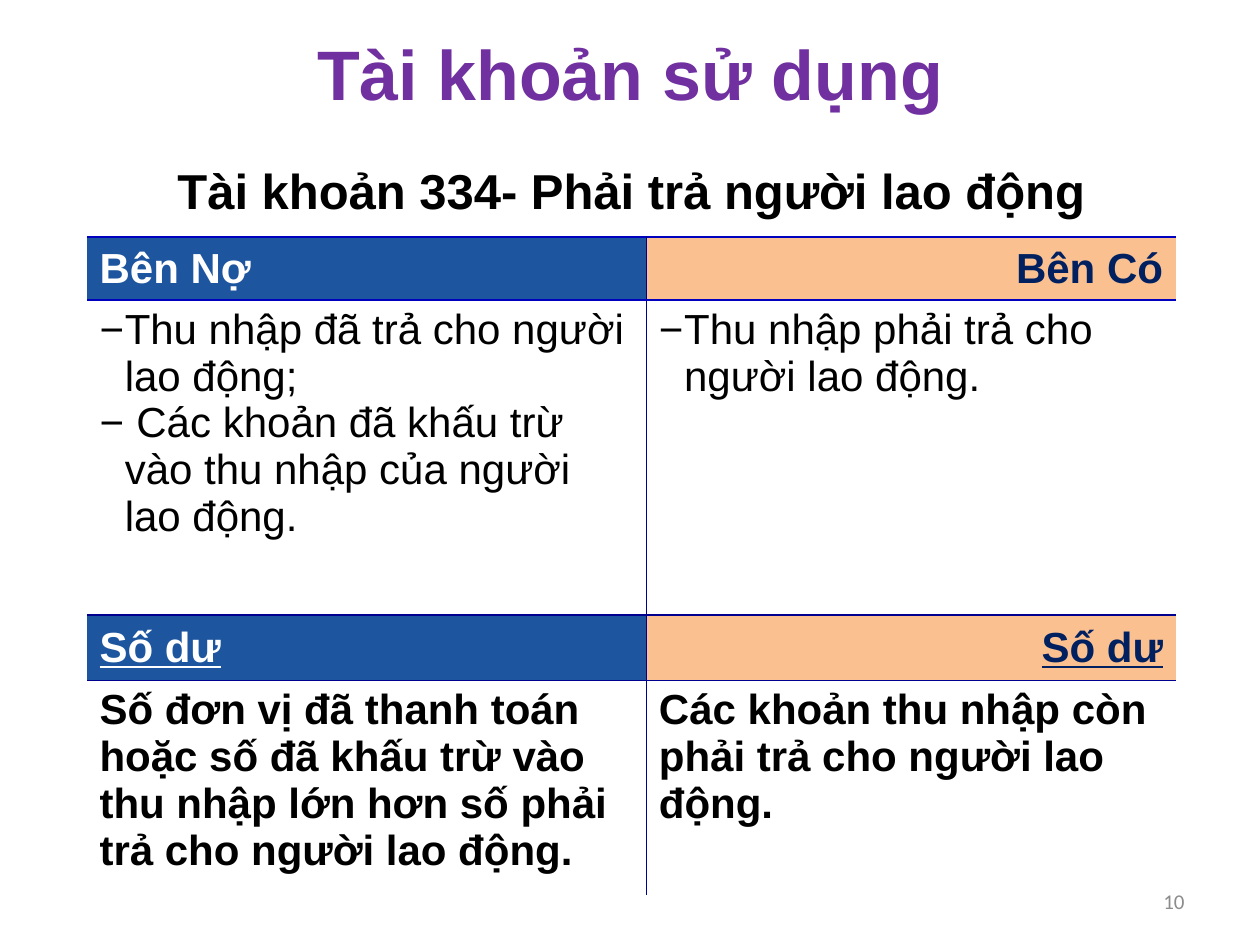
"""Build the slide on account 334, payables to employees."""
from dataclasses import dataclass

from lxml import etree
from pptx import Presentation, util as u
from pptx.dml.color import RGBColor
from pptx.enum import text
from pptx.oxml import ns

PURPLE = RGBColor(0x70, 0x30, 0xA0)
GREY = RGBColor(0x8C, 0x8C, 0x8C)
BLACK = RGBColor(0x00, 0x00, 0x00)
WHITE = RGBColor(0xFF, 0xFF, 0xFF)
NAVY = RGBColor(0x00, 0x20, 0x60)
BLUE = RGBColor(0x1D, 0x55, 0x9F)
ORANGE = RGBColor(0xFA, 0xC0, 0x90)
TOP_RULE = RGBColor(0x00, 0x00, 0xBF)
INNER_RULE = RGBColor(0x00, 0x00, 0x8F)

LEFT, CENTER, RIGHT = text.PP_ALIGN.LEFT, text.PP_ALIGN.CENTER, text.PP_ALIGN.RIGHT
TOP, MIDDLE, BOTTOM = text.MSO_ANCHOR.TOP, text.MSO_ANCHOR.MIDDLE, text.MSO_ANCHOR.BOTTOM

PLAIN_TABLE_STYLE = "{2D5ABB26-0587-4C30-8999-92F81FD0307C}"
COLUMN_WIDTHS = (4.44, 4.2)
ROW_HEIGHTS = (0.71, 0.5, 2.5, 0.52, 1.69)


@dataclass(frozen=True)
class Style:
    size: float
    color: RGBColor = BLACK
    bold: bool = True
    underline: bool = False
    align: text.PP_ALIGN = LEFT
    anchor: text.MSO_ANCHOR = TOP
    fill: RGBColor | None = None
    bullet: str = ""
    font: str = "Arial"


@dataclass(frozen=True)
class TextBox:
    left: float
    top: float
    width: float
    height: float
    words: str
    style: Style
    line_spacing: float = 1.0


@dataclass(frozen=True)
class Entry:
    lines: tuple[str, ...]
    style: Style


DEBIT_HEAD = Style(24, WHITE, anchor=MIDDLE, fill=BLUE)
CREDIT_HEAD = Style(24, NAVY, align=RIGHT, anchor=MIDDLE, fill=ORANGE)
DEBIT_BALANCE = Style(24, WHITE, underline=True, anchor=MIDDLE, fill=BLUE)
CREDIT_BALANCE = Style(24, NAVY, underline=True, align=RIGHT, anchor=MIDDLE, fill=ORANGE)
ITEMS = Style(24, bold=False, bullet="−")
BALANCE_NOTE = Style(24)

BOXES = (
    TextBox(0.69, 0.29, 8.62, 0.68, "Tài khoản sử dụng",
            Style(40, PURPLE, align=CENTER, anchor=BOTTOM), 0.9),
    TextBox(7.17, 6.95, 2.33, 0.4, "10",
            Style(12, GREY, bold=False, align=RIGHT, anchor=MIDDLE, font="Calibri")),
)

ACCOUNT_TITLE = Entry(("Tài khoản 334- Phải trả người lao động",),
                      Style(28, align=CENTER, anchor=MIDDLE))
ACCOUNT_ROWS = (
    (Entry(("Bên Nợ",), DEBIT_HEAD), Entry(("Bên Có",), CREDIT_HEAD)),
    (Entry(("Thu nhập đã trả cho người lao động;",
            " Các khoản đã khấu trừ vào thu nhập của người lao động."), ITEMS),
     Entry(("Thu nhập phải trả cho người lao động.",), ITEMS)),
    (Entry(("Số dư",), DEBIT_BALANCE), Entry(("Số dư",), CREDIT_BALANCE)),
    (Entry(("Số đơn vị đã thanh toán hoặc số đã khấu trừ vào thu nhập "
            "lớn hơn số phải trả cho người lao động.",), BALANCE_NOTE),
     Entry(("Các khoản thu nhập còn phải trả cho người lao động.",), BALANCE_NOTE)),
)


def add_bullet(para, mark: str) -> None:
    properties = para._p.get_or_add_pPr()
    indent = u.Inches(0.2)
    properties.set("marL", str(indent))
    properties.set("indent", str(-indent))
    etree.SubElement(properties, ns.qn("a:buFont"), typeface="Arial")
    etree.SubElement(properties, ns.qn("a:buChar"), char=mark)


def write_lines(frame, lines: tuple[str, ...], style: Style, line_spacing: float = 1.0) -> None:
    for index, line in enumerate(lines):
        para = frame.add_paragraph() if index else frame.paragraphs[0]
        para.alignment = style.align
        para.line_spacing = line_spacing
        if style.bullet:
            add_bullet(para, style.bullet)
        span = para.add_run()
        span.text = line
        span.font.name = style.font
        span.font.size = u.Pt(style.size)
        span.font.bold = style.bold
        span.font.underline = style.underline
        span.font.color.rgb = style.color


def add_text_box(page, item: TextBox) -> None:
    box = page.shapes.add_textbox(*map(u.Inches, (item.left, item.top, item.width, item.height)))
    frame = box.text_frame
    frame.word_wrap = True
    frame.vertical_anchor = item.style.anchor
    write_lines(frame, (item.words,), item.style, item.line_spacing)


def add_border(cell, side: str, color: RGBColor) -> None:
    properties = cell._tc.get_or_add_tcPr()
    line = etree.SubElement(properties, ns.qn(f"a:ln{side}"), w=str(u.Pt(1)))
    solid = etree.SubElement(line, ns.qn("a:solidFill"))
    etree.SubElement(solid, ns.qn("a:srgbClr"), val=str(color))


def fill_cell(cell, entry: Entry, borders: dict[str, RGBColor]) -> None:
    for side in "LRTB":
        if side in borders:
            add_border(cell, side, borders[side])
    if entry.style.fill is None:
        cell.fill.background()
    else:
        cell.fill.solid()
        cell.fill.fore_color.rgb = entry.style.fill
    cell.vertical_anchor = entry.style.anchor
    write_lines(cell.text_frame, entry.lines, entry.style)


def add_account_table(page) -> None:
    frame = page.shapes.add_table(
        len(ROW_HEIGHTS), len(COLUMN_WIDTHS), u.Inches(0.69), u.Inches(1.17),
        u.Inches(sum(COLUMN_WIDTHS)), u.Inches(sum(ROW_HEIGHTS)))
    table = frame.table
    table.first_row = table.horz_banding = False
    table._tbl.tblPr.find(ns.qn("a:tableStyleId")).text = PLAIN_TABLE_STYLE
    for column, width in zip(table.columns, COLUMN_WIDTHS):
        column.width = u.Inches(width)
    for row, height in zip(table.rows, ROW_HEIGHTS):
        row.height = u.Inches(height)

    table.cell(0, 0).merge(table.cell(0, 1))
    fill_cell(table.cell(0, 0), ACCOUNT_TITLE, {"B": TOP_RULE})
    row_rules = ({"T": TOP_RULE}, {"B": INNER_RULE}, {"T": INNER_RULE}, {})
    for row_index, (entries, rules) in enumerate(zip(ACCOUNT_ROWS, row_rules), start=1):
        for column_index, (entry, side) in enumerate(zip(entries, "RL")):
            fill_cell(table.cell(row_index, column_index), entry, {**rules, side: INNER_RULE})


def main() -> None:
    deck = Presentation()
    deck.slide_width, deck.slide_height = u.Inches(10), u.Inches(7.5)
    page = deck.slides.add_slide(deck.slide_layouts[6])
    for item in BOXES:
        add_text_box(page, item)
    add_account_table(page)
    deck.save("out.pptx")


if __name__ == "__main__":
    main()
